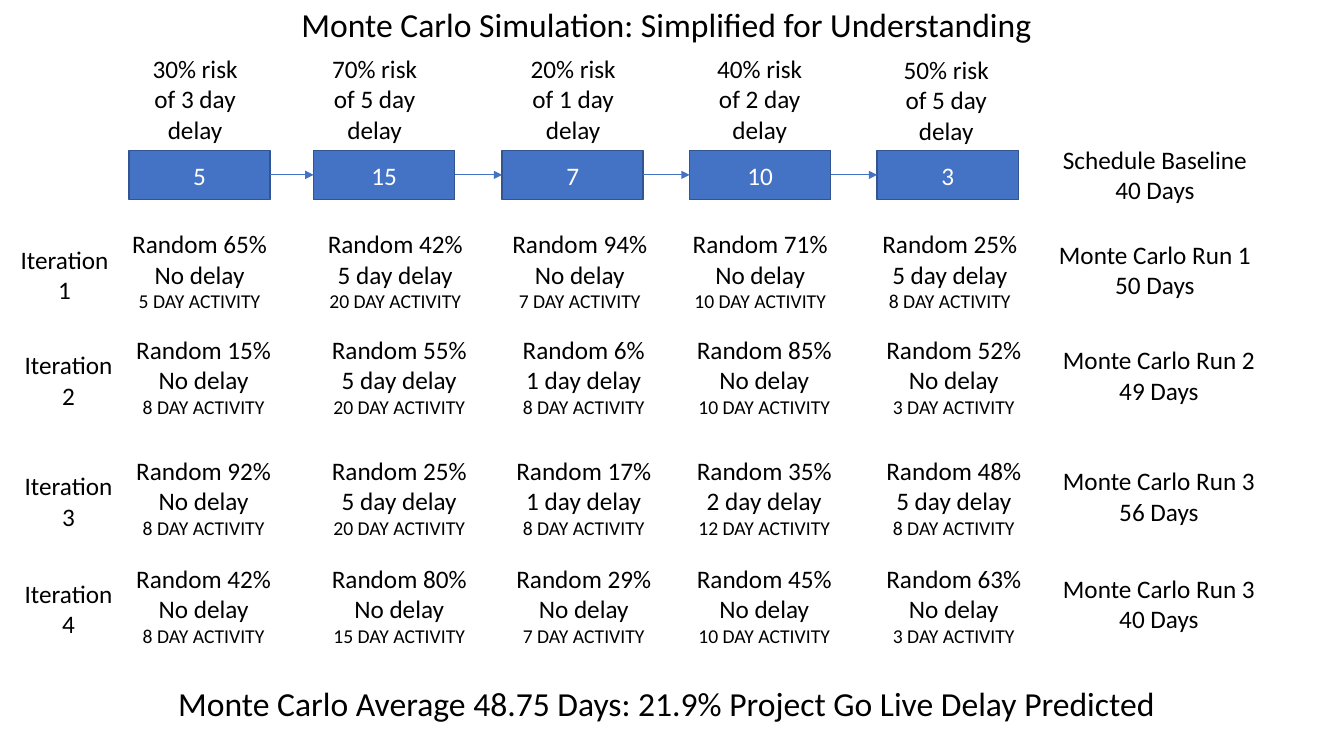
from itertools import pairwise

from lxml.etree import SubElement
from pptx import Presentation
from pptx.dml.color import RGBColor
from pptx.enum.shapes import MSO_CONNECTOR, MSO_SHAPE
from pptx.enum.text import MSO_ANCHOR, MSO_AUTO_SIZE, PP_ALIGN
from pptx.oxml.ns import qn
from pptx.util import Inches, Pt

FONT = "Calibri"
COLOURS = {"box": "4472C4", "border": "325491", "dark": "000000", "light": "FFFFFF"}

ACTIVITIES = [
    # left of box, days, left of risk, risk, delay
]

ACTIVITIES = [
    (1.28, 5, 1.41, 0.48, "30%", 3),
    (3.11, 15, 3.19, 0.48, "70%", 5),
    (4.98, 7, 5.16, 0.48, "20%", 1),
    (6.84, 10, 7.01, 0.48, "40%", 2),
    (8.7, 3, 8.86, 0.49, "50%", 5),
]
RESULT_LEFTS = [1.2, 3.14, 4.97, 6.76, 8.64]
ITERATIONS = [
    (2.22, 0, "Monte Carlo Run 1", 50,
     [(65, "No", 5), (42, "5 day", 20), (94, "No", 7), (71, "No", 10), (25, "5 day", 8)]),
    (3.27, 0.04, "Monte Carlo Run 2", 49,
     [(15, "No", 8), (55, "5 day", 20), (6, "1 day", 8), (85, "No", 10), (52, "No", 3)]),
    (4.47, 0.04, "Monte Carlo Run 3", 56,
     [(92, "No", 8), (25, "5 day", 20), (17, "1 day", 8), (35, "2 day", 12), (48, "5 day", 8)]),
    (5.54, 0.04, "Monte Carlo Run 3", 40,
     [(42, "No", 8), (80, "No", 15), (29, "No", 7), (45, "No", 10), (63, "No", 3)]),
]


def colour(name):
    """Return the named colour."""
    return RGBColor.from_string(COLOURS[name])


def write_lines(frame, lines, sizes, colour_name):
    """Write centred paragraphs, one for each line and size."""
    for index, (line, size) in enumerate(zip(lines, sizes)):
        para = frame.paragraphs[0] if index == 0 else frame.add_paragraph()
        para.text = line
        para.alignment = PP_ALIGN.CENTER
        para.font.name = FONT
        para.font.size = Pt(size)
        para.font.color.rgb = colour(colour_name)


def add_label(page, left, top, width, height, lines, sizes=(18, 18, 18), wrap=False):
    """Add a text box that grows with its text."""
    box = page.shapes.add_textbox(Inches(left), Inches(top), Inches(width), Inches(height))
    box.text_frame.word_wrap = wrap
    box.text_frame.auto_size = MSO_AUTO_SIZE.SHAPE_TO_FIT_TEXT
    write_lines(box.text_frame, lines, sizes, "dark")


def add_activity(page, left, days):
    """Add an activity box holding its planned days."""
    box = page.shapes.add_shape(
        MSO_SHAPE.RECTANGLE, Inches(left), Inches(1.49), Inches(1.4), Inches(0.49))
    box.shadow.inherit = False
    box.fill.solid()
    box.fill.fore_color.rgb = colour("box")
    box.line.color.rgb = colour("border")
    box.line.width = Pt(1)
    box.text_frame.vertical_anchor = MSO_ANCHOR.MIDDLE
    write_lines(box.text_frame, [str(days)], [18], "light")
    return box


def add_arrow(page, start, end):
    """Join two activity boxes with an arrow."""
    arrow = page.shapes.add_connector(MSO_CONNECTOR.STRAIGHT, 0, 0, 0, 0)
    arrow.begin_connect(start, 3)
    arrow.end_connect(end, 1)
    arrow.line.color.rgb = colour("box")
    arrow.line.width = Pt(0.5)
    SubElement(arrow.line._get_or_add_ln(), qn("a:tailEnd"), type="triangle")
    SubElement(arrow._element.spPr, qn("a:effectLst"))


def add_iteration(page, number, top, shift, run, total, results):
    """Add one row of simulated results with its label and total."""
    add_label(page, 0.1 + shift, top + 0.15, 1.08, 0.71, ["Iteration", str(number)])
    for left, (chance, delay, days) in zip(RESULT_LEFTS, results):
        lines = [f"Random {chance}%", f"{delay} delay", f"{days} DAY ACTIVITY"]
        add_label(page, left + shift, top, 1.56, 0.94, lines, (18, 18, 14))
    add_label(page, 10.39 + shift, top + 0.1, 2.13, 0.71, [run, f"{total} Days"])


def main():
    """Build the slide and save it."""
    deck = Presentation()
    deck.slide_width, deck.slide_height = Inches(13.33), Inches(7.5)
    page = deck.slides.add_slide(deck.slide_layouts[6])
    boxes = [add_activity(page, left, days) for left, days, *_ in ACTIVITIES]
    for start, end in pairwise(boxes):
        add_arrow(page, start, end)
    for _, _, left, top, risk, delay in ACTIVITIES:
        add_label(page, left, top, 1.05, 1.01, [f"{risk} risk", f"of {delay} day", "delay"])
    add_label(page, 10.43, 1.38, 2.05, 0.71, ["Schedule Baseline", "40 Days"])
    for number, iteration in enumerate(ITERATIONS, 1):
        add_iteration(page, number, *iteration)
    for top, line in [
        (6.73, "Monte Carlo Average 48.75 Days: 21.9% Project Go Live Delay Predicted"),
        (-0.01, "Monte Carlo Simulation: Simplified for Understanding"),
    ]:
        add_label(page, 1.47, top, 10.28, 0.5, [line], [24], wrap=True)
    deck.save("out.pptx")


if __name__ == "__main__":
    main()
